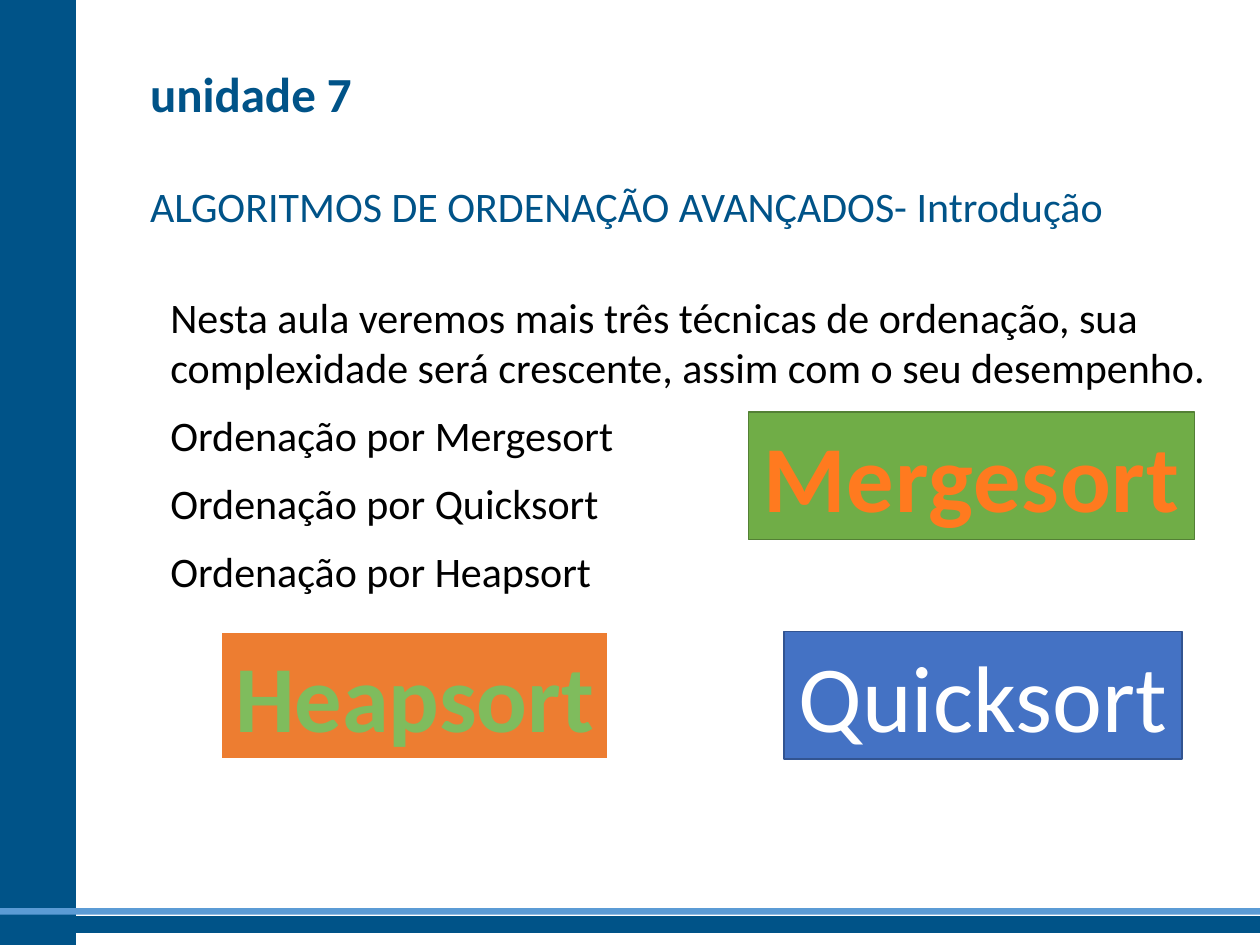
"""Build the slide that introduces the advanced sorting algorithms."""
import pptx
import pptx.dml.color
import pptx.enum.shapes
import pptx.enum.text
import pptx.util
from lxml import etree

Cm = pptx.util.Cm
Pt = pptx.util.Pt
ANCHOR = pptx.enum.text.MSO_ANCHOR
ALIGN = pptx.enum.text.PP_ALIGN

FONT = "Calibri"
NAVY = "005388"
WIDTH, HEIGHT = 25.4, 19.05

BANDS = [
    ((0, 0, 1.52, HEIGHT), NAVY, NAVY),
    ((0, 18.49, WIDTH, 0.3), NAVY, NAVY),
    ((0, 18.31, WIDTH, 0.13), "5B9BD5", None),
]
TEXTS = [
    {"area": (2.77, 1.37, 21.95, 1.24), "lines": ["unidade 7"], "size": 28,
     "color": NAVY, "bold": True, "spacing": 0.8, "anchor": ANCHOR.MIDDLE},
    {"area": (2.77, 2.9, 21.95, 2.62),
     "lines": ["ALGORITMOS DE ORDENAÇÃO AVANÇADOS- Introdução"], "size": 24,
     "color": NAVY, "bold": False, "spacing": 0.9, "anchor": ANCHOR.MIDDLE},
    {"area": (3.18, 5.74, 21.95, 11.33),
     "lines": ["Nesta aula veremos mais três técnicas de ordenação, sua "
               "complexidade será crescente, assim com o seu desempenho.",
               "Ordenação por Mergesort",
               "Ordenação por Quicksort",
               "Ordenação por Heapsort"], "size": 24,
     "color": "000000", "bold": False, "spacing": 1.0, "anchor": ANCHOR.TOP},
]
LABELS = [
    ("Mergesort", (15.09, 8.31, 8.99, 2.57), "70AD47", "538035", 1, "FF7A1F", True, 0.5),
    ("Quicksort", (15.8, 12.73, 8.03, 2.57), "4472C4", "325491", 1, "FFFFFF", False, 0),
    ("Heapsort", (4.45, 12.73, 7.82, 2.57), "ED7D31", "FFFFFF", 1.5, "7FBC5D", True, 0),
]


def paint(target, color):
    target.rgb = pptx.dml.color.RGBColor.from_string(color)


def add_span(para, text, size, color, bold):
    span = para.add_run()
    span.text = text
    span.font.name = FONT
    span.font.size = Pt(size)
    span.font.bold = bold
    paint(span.font.color, color)
    return span


def add_box(page, area, fill, line, weight=1):
    box = page.shapes.add_shape(
        pptx.enum.shapes.MSO_SHAPE.RECTANGLE, *map(Cm, area))
    box.shadow.inherit = False
    box.fill.solid()
    paint(box.fill.fore_color, fill)
    if line:
        paint(box.line.color, line)
        box.line.width = Pt(weight)
    else:
        box.line.fill.background()
    return box


def fill_placeholder(box, text):
    box.left, box.top, box.width, box.height = map(Cm, text["area"])
    frame = box.text_frame
    frame.word_wrap = True
    frame.auto_size = pptx.enum.text.MSO_AUTO_SIZE.NONE
    frame.vertical_anchor = text["anchor"]
    for index, line in enumerate(text["lines"]):
        para = frame.add_paragraph() if index else frame.paragraphs[0]
        para.alignment = ALIGN.LEFT
        para.line_spacing = text["spacing"]
        para.space_before = Pt(10)
        properties = para._p.get_or_add_pPr()
        properties.set("marL", "0")
        properties.set("indent", "0")
        etree.SubElement(properties, pptx.oxml.ns.qn("a:buNone"))
        add_span(para, line, text["size"], text["color"], text["bold"])


def add_label(page, name, area, fill, line, weight, color, bold, tracking):
    box = add_box(page, area, fill, line, weight)
    frame = box.text_frame
    frame.word_wrap = False
    frame.auto_size = pptx.enum.text.MSO_AUTO_SIZE.SHAPE_TO_FIT_TEXT
    frame.vertical_anchor = ANCHOR.TOP
    para = frame.paragraphs[0]
    para.alignment = ALIGN.CENTER
    span = add_span(para, name, 54, color, bold)
    if tracking:
        span.font._element.set("spc", str(int(tracking * 100)))


def main():
    deck = pptx.Presentation()
    deck.slide_width, deck.slide_height = Cm(WIDTH), Cm(HEIGHT)
    page = deck.slides.add_slide(deck.slide_layouts.get_by_name("Two Content"))
    for band in BANDS:
        add_box(page, *band)
    for box, text in zip(page.placeholders, TEXTS):
        fill_placeholder(box, text)
    for label in LABELS:
        add_label(page, *label)
    deck.save("out.pptx")


if __name__ == "__main__":
    main()
